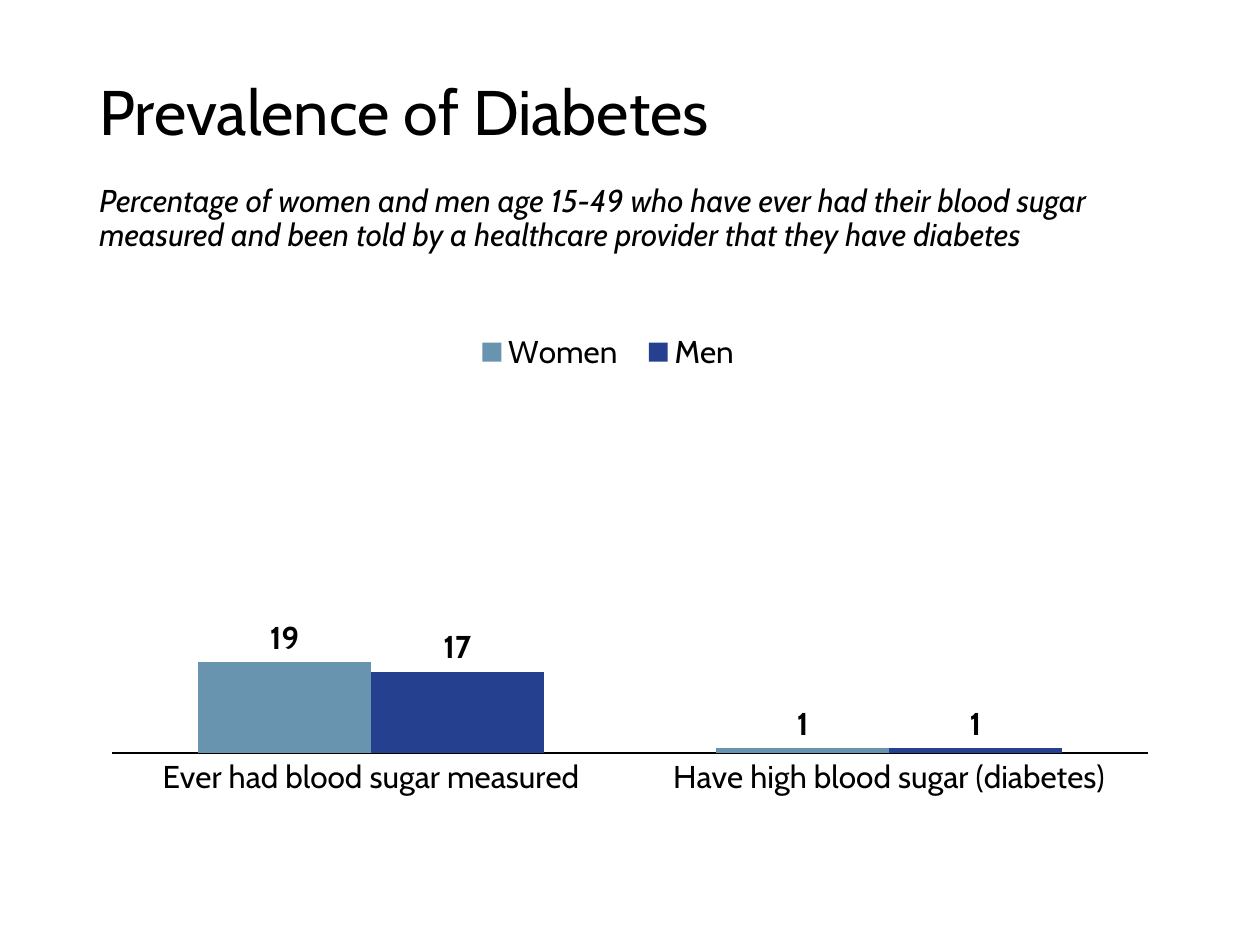
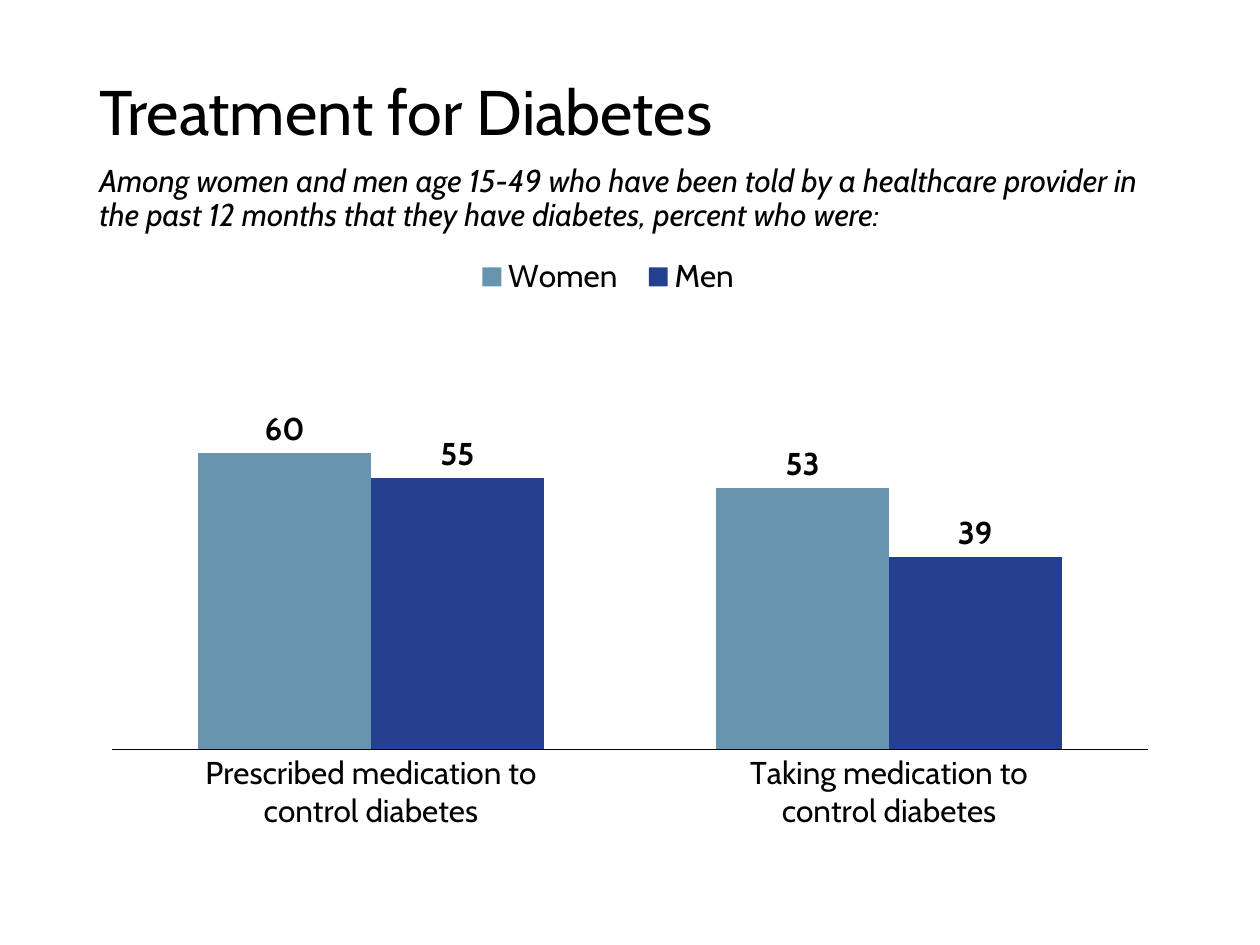
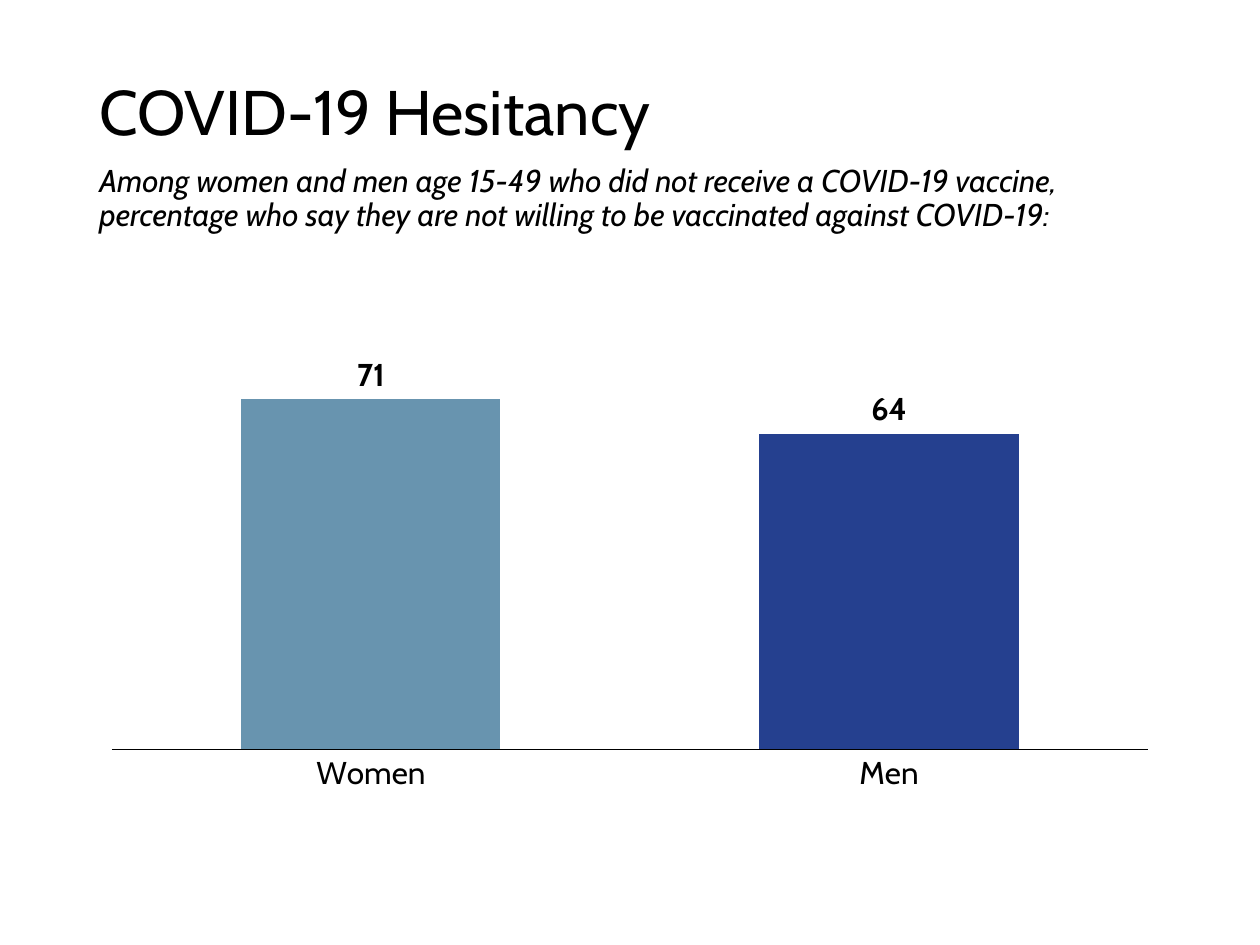
"""Builds three slides of column charts on diabetes and COVID-19 hesitancy."""
from dataclasses import dataclass
from typing import Optional

from lxml import etree
from pptx import Presentation
from pptx import util as u
from pptx.chart.data import CategoryChartData
from pptx.dml.color import RGBColor
from pptx.enum import chart as ch
from pptx.enum import text
from pptx.oxml.ns import qn

COLORS = {"ink": "000000", "women": "6894AF", "men": "25408F", "paper": "FFFFFF"}
FONT = "Cabin"
BODY_SIZE = 18
TITLE_SIZE = 36
COLS, ROWS = 100, 75
WIDTH, HEIGHT = u.Inches(10), u.Inches(7.5)
LEFT, SPAN = 6.9, 86.2
PLOT = (2.3, 1.9, 95.4, 72.5)


@dataclass(frozen=True)
class Band:
    """A full-width band, in grid rows."""
    top: float
    rows: float


@dataclass(frozen=True)
class ChartSlide:
    """Content of one slide; legend_top is a percentage of the chart height."""
    title: str
    subtitle: str
    subtitle_band: Band
    chart_band: Band
    categories: tuple[str, ...]
    series: dict[str, tuple[int, ...]]
    legend_top: Optional[float] = None


TITLE_BAND = Band(4, 10.2)
HIGH_SUBTITLE, TALL_CHART = Band(12.6, 6.7), Band(19.3, 54)

SLIDES = (
    ChartSlide(
        "Prevalence of Diabetes",
        "Percentage of women and men age 15-49 who have ever had their blood sugar "
        "measured and been told by a healthcare provider that they have diabetes",
        Band(14.2, 6.7), Band(20.8, 52.4),
        ("Ever had blood sugar measured", "Have high blood sugar (diabetes)"),
        {"Women": (19, 1), "Men": (17, 1)}, 10),
    ChartSlide(
        "Treatment for Diabetes",
        "Among women and men age 15-49 who have been told by a healthcare provider in "
        "the past 12 months that they have diabetes, percent who were:",
        HIGH_SUBTITLE, TALL_CHART,
        ("Prescribed medication to\ncontrol diabetes", "Taking medication to\ncontrol diabetes"),
        {"Women": (60, 53), "Men": (55, 39)}, 1.3),
    ChartSlide(
        "COVID-19 Hesitancy",
        "Among women and men age 15-49 who did not receive a COVID-19 vaccine, "
        "percentage who say they are not willing to be vaccinated against COVID-19:",
        HIGH_SUBTITLE, TALL_CHART,
        ("Women", "Men"), {"Series 1": (71, 64)}),
)


def rgb(name: str) -> RGBColor:
    """Return a palette colour."""
    return RGBColor.from_string(COLORS[name])


def frame(band: Band) -> tuple[int, int, int, int]:
    """Turn a band into left, top, width and height."""
    col, row = WIDTH / COLS, HEIGHT / ROWS
    return int(LEFT * col), int(band.top * row), int(SPAN * col), int(band.rows * row)


def style_font(font, size: float, bold: bool = False, italic: bool = False) -> None:
    """Apply the shared typeface and colour."""
    font.name, font.size = FONT, u.Pt(size)
    font.bold, font.italic = bold, italic
    font.color.rgb = rgb("ink")


def add_text(s, band: Band, words: str, size: float, anchor, before: float = 0,
             italic: bool = False) -> None:
    """Add one paragraph across a band."""
    tf = s.shapes.add_textbox(*frame(band)).text_frame
    tf.word_wrap, tf.vertical_anchor = True, anchor
    p = tf.paragraphs[0]
    p.line_spacing, p.space_before = 0.9, u.Pt(before)
    r = p.add_run()
    r.text = words
    style_font(r.font, size, italic=italic)


def set_layout(parent, index: int, box: tuple[float, ...], inner: bool = False) -> None:
    """Place a chart part by percentages of the chart's size."""
    for old in parent.findall(qn("c:layout")):
        parent.remove(old)
    layout = etree.Element(qn("c:layout"))
    manual = etree.SubElement(layout, qn("c:manualLayout"))
    values = [("layoutTarget", "inner")] if inner else []
    values += [("xMode", "edge"), ("yMode", "edge")]
    values += [(key, f"{share / 100:.3f}") for key, share in zip("xywh", box)]
    for tag, value in values:
        etree.SubElement(manual, qn(f"c:{tag}")).set("val", value)
    parent.insert(index, layout)


def fill(part, name: str) -> None:
    """Fill a series or point with a palette colour."""
    part.format.fill.solid()
    part.format.fill.fore_color.rgb = rgb(name)


def style_axes(chart) -> None:
    """Show only the category baseline and hide the 0 to 100 scale."""
    cat, val = chart.category_axis, chart.value_axis
    cat.major_tick_mark = cat.minor_tick_mark = ch.XL_TICK_MARK.NONE
    cat.has_major_gridlines = val.has_major_gridlines = False
    cat.format.line.color.rgb = rgb("ink")
    cat.format.line.width = u.Pt(0.75)
    style_font(cat.tick_labels.font, BODY_SIZE)
    val.minimum_scale, val.maximum_scale = 0, 100
    val.visible = False


def add_columns(s, item: ChartSlide) -> None:
    """Add the clustered column chart of a slide."""
    data = CategoryChartData()
    data.categories = item.categories
    for name, values in item.series.items():
        data.add_series(name, values)
    chart = s.shapes.add_chart(
        ch.XL_CHART_TYPE.COLUMN_CLUSTERED, *frame(item.chart_band), data).chart
    chart.has_title = False
    style_font(chart.font, BODY_SIZE)
    style_axes(chart)
    plot = chart.plots[0]
    plot.gap_width, plot.overlap, plot.vary_by_categories = 100, 0, False
    for series, color in zip(plot.series, ("women", "men")):
        fill(series, color)
        labels = series.data_labels
        labels.show_value = True
        labels.position = ch.XL_LABEL_POSITION.OUTSIDE_END
        style_font(labels.font, BODY_SIZE, bold=True)
    if len(item.series) == 1:
        fill(plot.series[0].points[1], "men")
    set_layout(chart.element.find(f".//{qn('c:plotArea')}"), 0, PLOT, inner=True)
    chart.has_legend = item.legend_top is not None
    if chart.has_legend:
        legend = chart.legend
        legend.position = ch.XL_LEGEND_POSITION.RIGHT
        legend.include_in_layout = False
        style_font(legend.font, BODY_SIZE)
        set_layout(chart.element.find(f".//{qn('c:legend')}"), 1,
                   (34.5, item.legend_top, 27, 7.3))


def main() -> None:
    """Build and save the presentation."""
    prs = Presentation()
    prs.slide_width, prs.slide_height = WIDTH, HEIGHT
    for item in SLIDES:
        s = prs.slides.add_slide(prs.slide_layouts[6])
        s.background.fill.solid()
        s.background.fill.fore_color.rgb = rgb("paper")
        add_text(s, TITLE_BAND, item.title, TITLE_SIZE, text.MSO_ANCHOR.MIDDLE)
        add_text(s, item.subtitle_band, item.subtitle, BODY_SIZE, text.MSO_ANCHOR.TOP,
                 before=10, italic=True)
        add_columns(s, item)
    prs.save("out.pptx")


if __name__ == "__main__":
    main()
